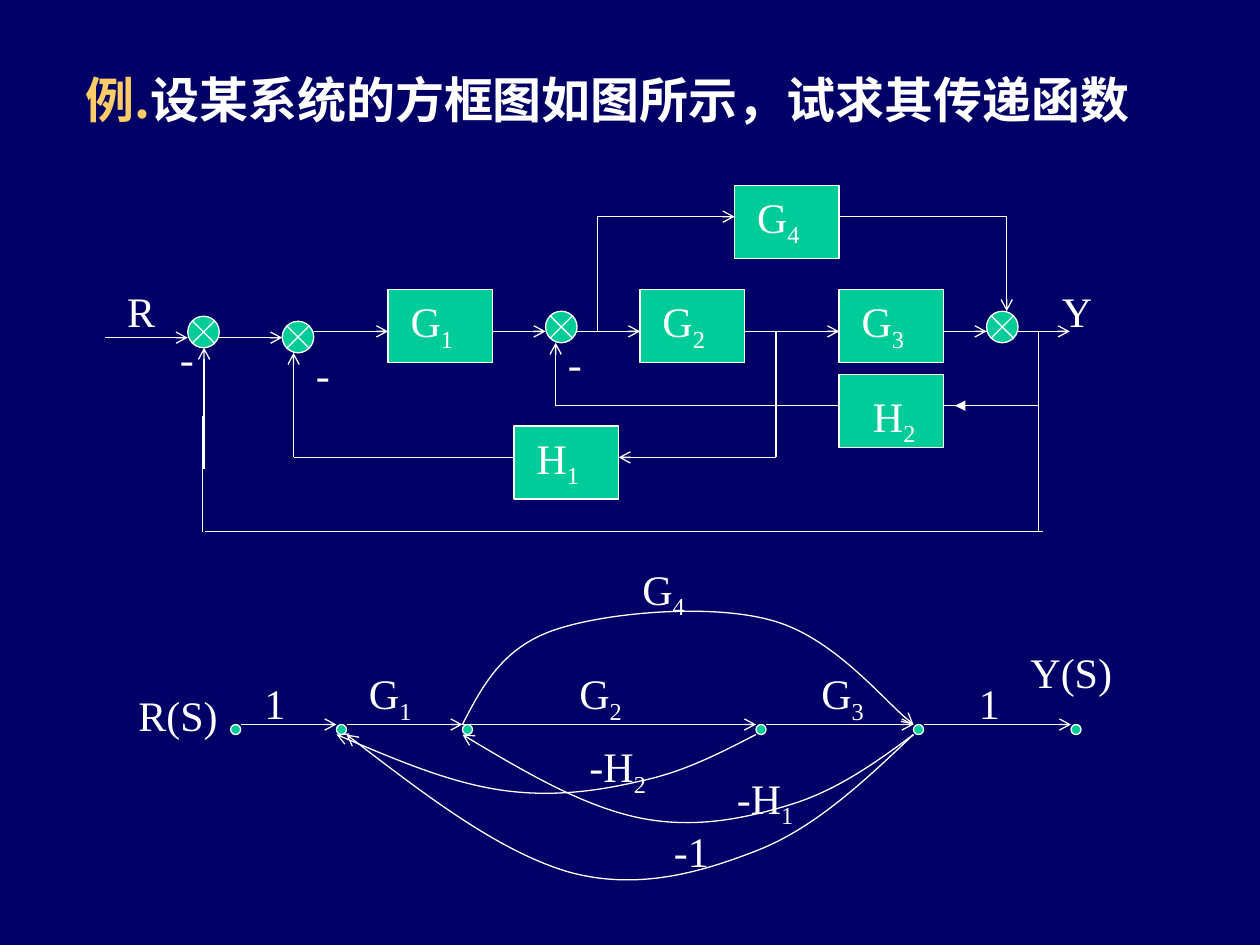
from lxml.etree import SubElement
from pptx import Presentation
from pptx.dml.color import RGBColor
from pptx.enum.shapes import MSO_CONNECTOR, MSO_SHAPE
from pptx.enum.text import MSO_ANCHOR, PP_ALIGN
from pptx.oxml.ns import qn
from pptx.util import Inches, Pt

COLORS = {"background": "000066", "block": "00CC99", "white": "FFFFFF", "accent": "FFCC66"}
TITLE_FONT, LABEL_FONT = "Noto Sans CJK SC", "Times New Roman"
TITLE_RUNS = [("例.", "accent"), ("设某系统的方框图如图所示，试求其传递函数", "white")]

# Block diagram: left, top
BLOCK_SIZE = (0.83, 0.58)
BLOCKS = [(3.08, 2.3), (5.08, 2.3), (6.66, 2.3), (5.83, 1.47), (4.08, 3.38), (6.66, 2.97)]
JUNCTION_SIZE = (0.25, 0.25)
JUNCTIONS = [(1.49, 2.51), (2.24, 2.55), (4.33, 2.47), (7.83, 2.47)]

# Lines: x and y of the start, x and y of the end, arrowhead at the end
DIAGRAM_LINES = [
    # forward path
    (0.83, 2.68, 1.49, 2.68, "arrow"), (1.74, 2.68, 2.24, 2.68, "arrow"),
    (2.49, 2.63, 3.08, 2.63, "arrow"), (3.91, 2.63, 4.33, 2.63, "arrow"),
    (4.58, 2.63, 5.08, 2.63, "arrow"), (5.91, 2.63, 6.66, 2.63, "arrow"),
    (7.49, 2.63, 7.83, 2.63, "arrow"), (7.49, 2.63, 8.49, 2.63, "arrow"),
    # G4 bypass
    (4.74, 2.63, 4.74, 1.72, None), (4.74, 1.72, 5.83, 1.72, "arrow"),
    (6.66, 1.72, 7.99, 1.72, None), (7.99, 1.72, 7.99, 2.47, "arrow"),
    # H1 feedback
    (6.16, 2.63, 6.16, 3.63, None), (6.16, 3.63, 4.91, 3.63, "arrow"),
    (2.33, 3.63, 4.08, 3.63, None), (2.33, 3.63, 2.33, 2.8, "arrow"),
    # H2 feedback
    (8.24, 3.22, 7.58, 3.22, "triangle"), (6.58, 3.22, 7.91, 3.22, None),
    (4.41, 3.22, 6.58, 3.22, None), (4.41, 3.22, 4.41, 2.72, "arrow"),
    # unity feedback
    (8.24, 2.63, 8.24, 4.22, None), (1.63, 4.22, 8.28, 4.22, None),
    (1.61, 3.3, 1.61, 4.22, None), (1.62, 3.72, 1.62, 2.76, "arrow"),
]

# Signal flow graph
NODE_SIZE = (0.08, 0.08)
NODE_LEFTS = [1.83, 2.67, 3.67, 6, 7.25, 8.5]
FLOW_TOP = 5.75
# Each branch: a start point, then three Bezier points per segment
BRANCH_CURVES = [
    [(3.67, 5.75), (3.83, 5.44), (3.99, 5.14), (4.4, 5), (4.81, 4.86), (5.63, 4.79),
     (6.11, 4.92), (6.58, 5.04), (7.06, 5.61), (7.25, 5.75)],
    [(7.25, 5.83), (6.86, 6.2), (6.47, 6.57), (6.01, 6.75), (5.55, 6.93), (5.05, 7.07),
     (4.51, 6.92), (3.97, 6.76), (3.36, 6.3), (2.75, 5.83)],
    [(7.25, 5.83), (6.94, 6.06), (6.63, 6.28), (6.26, 6.39), (5.9, 6.5), (5.5, 6.58),
     (5.07, 6.49), (4.64, 6.4), (4.15, 6.12), (3.67, 5.83)],
    [(6, 5.83), (5.71, 5.98), (5.42, 6.13), (5.08, 6.2), (4.74, 6.28), (4.37, 6.33),
     (3.97, 6.27), (3.57, 6.21), (3.12, 6.02), (2.67, 5.83)],
]

# Labels: text with "_" before a subscript, left, top, width, height
LABELS = [
    ("R", 0.91, 2.22, 0.75, 0.5), ("Y", 8.33, 2.22, 0.75, 0.5),
    ("-", 1.33, 2.59, 0.5, 0.5), ("-", 2.41, 2.72, 0.5, 0.5), ("-", 4.41, 2.63, 0.5, 0.5),
    ("G_1", 3.16, 2.3, 0.75, 0.56), ("G_2", 5.16, 2.3, 0.67, 0.56),
    ("G_3", 6.74, 2.3, 0.75, 0.56), ("G_4", 5.91, 1.47, 0.75, 0.56),
    ("H_1", 4.16, 3.38, 0.75, 0.56), ("H_2", 6.83, 3.05, 0.75, 0.56),
    ("R(S)", 1, 5.42, 0.85, 0.5), ("Y(S)", 8.08, 5.08, 1, 0.5),
    ("1", 2, 5.33, 0.33, 0.5), ("1", 7.67, 5.33, 0.33, 0.5),
    ("G_1", 2.83, 5.25, 0.75, 0.56), ("G_2", 4.5, 5.25, 0.58, 0.56),
    ("G_3", 6.42, 5.25, 0.58, 0.56), ("G_4", 5, 4.42, 0.92, 1.22),
    ("-H_1", 5.75, 6.08, 0.83, 0.56), ("-H_2", 4.58, 5.83, 0.75, 0.56),
    ("-1", 5.25, 6.5, 0.92, 0.5),
]


def rgb(name):
    return RGBColor.from_string(COLORS[name])


def style_line(shape, arrowhead=None):
    shape.line.color.rgb = rgb("white")
    shape.line.width = Pt(0.75)
    if arrowhead:
        SubElement(shape.line._get_or_add_ln(), qn("a:tailEnd"), type=arrowhead)


def add_filled_shape(slide, kind, position, size):
    shape = slide.shapes.add_shape(kind, *map(Inches, position + size))
    shape.shadow.inherit = False
    shape.fill.solid()
    shape.fill.fore_color.rgb = rgb("block")
    style_line(shape)


def add_line(slide, start_x, start_y, end_x, end_y, arrowhead):
    ends = map(Inches, (start_x, start_y, end_x, end_y))
    connector = slide.shapes.add_connector(MSO_CONNECTOR.STRAIGHT, *ends)
    style_line(connector, arrowhead)
    SubElement(connector._element.spPr, qn("a:effectLst"))


def add_curve(slide, points):
    """Draw a freeform and turn every three line segments into one Bezier segment."""
    start, *others = [(Inches(x), Inches(y)) for x, y in points]
    builder = slide.shapes.build_freeform(*start)
    builder.add_line_segments(others, close=False)
    shape = builder.convert_to_shape()
    shape.shadow.inherit = False
    shape.fill.background()
    style_line(shape, "arrow")
    path = next(shape._element.iter(qn("a:path")))
    segments = path.findall(qn("a:lnTo"))
    for index in range(0, len(segments), 3):
        bezier = SubElement(path, qn("a:cubicBezTo"))
        for segment in segments[index:index + 3]:
            bezier.append(segment[0])
            path.remove(segment)


def add_run(paragraph, text, font_name, size, color):
    run = paragraph.add_run()
    run.text = text
    run.font.name = font_name
    run.font.size = Pt(size)
    run.font.color.rgb = rgb(color)
    return run


def add_label(slide, text, *box):
    frame = slide.shapes.add_textbox(*map(Inches, box)).text_frame
    frame.word_wrap = True
    base, _, subscript = text.partition("_")
    paragraph = frame.paragraphs[0]
    add_run(paragraph, base, LABEL_FONT, 24, "white")
    if subscript:
        run = add_run(paragraph, subscript, LABEL_FONT, 24, "white")
        run._r.get_or_add_rPr().set("baseline", "-25000")


def fill_title(title):
    title.left, title.top, title.width, title.height = map(Inches, (0.58, 0.5, 8.75, 0.57))
    frame = title.text_frame
    frame.word_wrap = True
    frame.vertical_anchor = MSO_ANCHOR.MIDDLE
    paragraph = frame.paragraphs[0]
    paragraph.alignment = PP_ALIGN.LEFT
    for text, color in TITLE_RUNS:
        run = add_run(paragraph, text, TITLE_FONT, 28, color)
        run.font.bold = True
        SubElement(run._r.get_or_add_rPr(), qn("a:ea"), typeface=TITLE_FONT)


def main():
    presentation = Presentation()
    presentation.slide_width, presentation.slide_height = Inches(10), Inches(7.5)
    slide = presentation.slides.add_slide(presentation.slide_layouts[5])
    slide.background.fill.solid()
    slide.background.fill.fore_color.rgb = rgb("background")
    fill_title(slide.shapes.title)

    for left, right in zip(NODE_LEFTS, NODE_LEFTS[1:]):
        start = left if left == 3.67 else left + NODE_SIZE[0]
        add_line(slide, start, FLOW_TOP, right, FLOW_TOP, "arrow")
    for left in NODE_LEFTS:
        add_filled_shape(slide, MSO_SHAPE.FLOWCHART_CONNECTOR, (left, FLOW_TOP), NODE_SIZE)
    for points in BRANCH_CURVES:
        add_curve(slide, points)

    for line in DIAGRAM_LINES:
        add_line(slide, *line)
    for position in BLOCKS:
        add_filled_shape(slide, MSO_SHAPE.RECTANGLE, position, BLOCK_SIZE)
    for position in JUNCTIONS:
        add_filled_shape(slide, MSO_SHAPE.FLOWCHART_SUMMING_JUNCTION, position, JUNCTION_SIZE)
    for label in LABELS:
        add_label(slide, *label)

    presentation.save("out.pptx")


if __name__ == "__main__":
    main()
